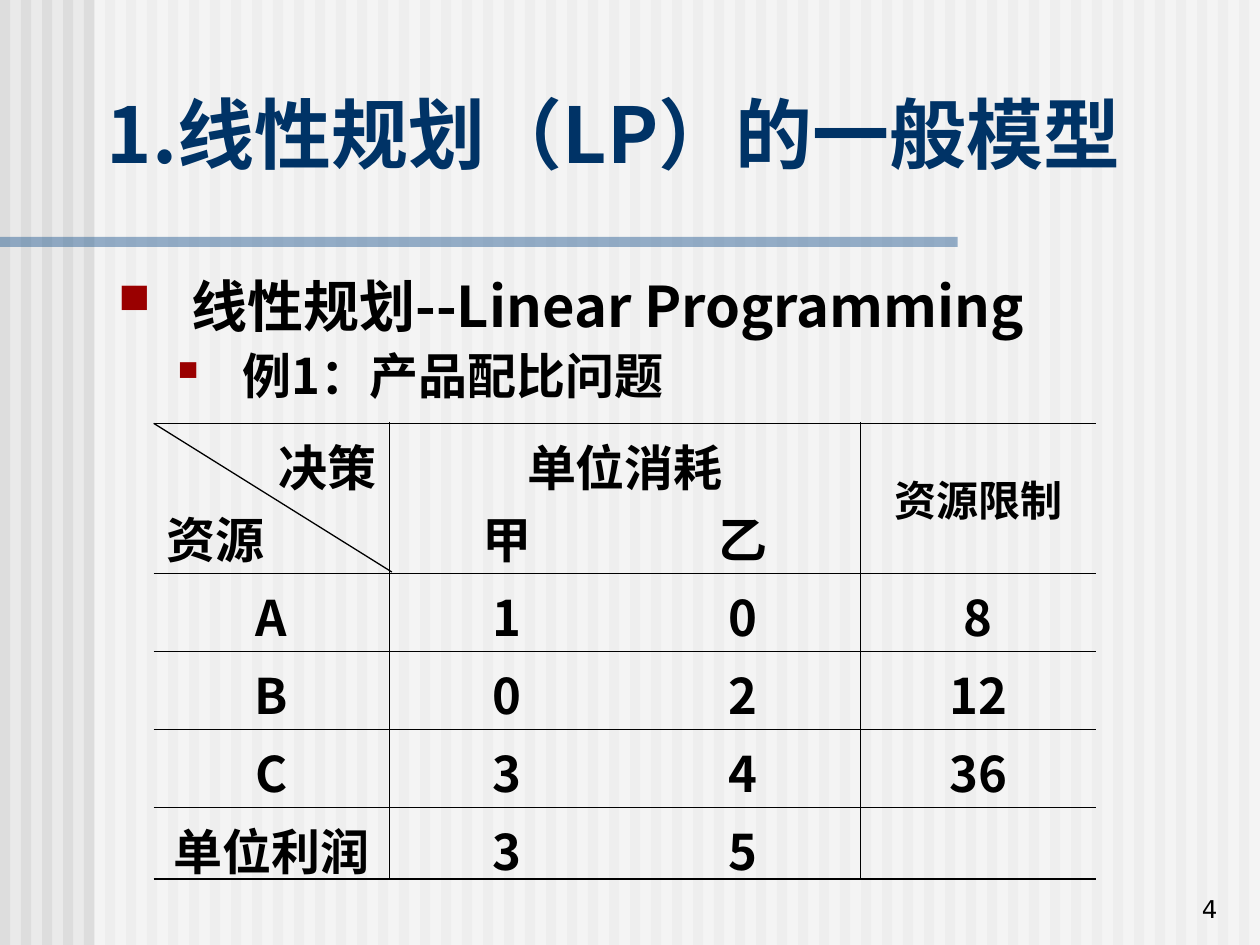
from dataclasses import dataclass

from lxml import etree
from pptx import Presentation
from pptx.dml.color import RGBColor
from pptx.enum.shapes import MSO_CONNECTOR, MSO_SHAPE
from pptx.enum.text import MSO_ANCHOR, PP_ALIGN
from pptx.oxml.ns import qn
from pptx.util import Inches, Pt

RECTANGLE = MSO_SHAPE.RECTANGLE
STRAIGHT = MSO_CONNECTOR.STRAIGHT
MIDDLE, BOTTOM = MSO_ANCHOR.MIDDLE, MSO_ANCHOR.BOTTOM
LEFT, CENTER, RIGHT, JUSTIFY = (
    PP_ALIGN.LEFT, PP_ALIGN.CENTER, PP_ALIGN.RIGHT, PP_ALIGN.JUSTIFY)


@dataclass(frozen=True)
class Theme:
    font: str = "Noto Sans CJK SC"
    number_font: str = "DejaVu Sans"
    background: str = "EAEAEA"
    stripe: str = "DDDDDD"
    veil: str = "FFFFFF"
    rule: str = "336699"
    title: str = "003366"
    ink: str = "000000"
    bullet: str = "9A0000"
    title_size: int = 44
    topic_size: int = 32
    text_size: int = 28
    small_size: int = 24
    number_size: int = 14
    thin: float = 0.45
    thick: float = 1.08


THEME = Theme()
TABLE_ROWS = [
    ["决策", "单位消耗", "", "资源限制"],
    ["资源", "甲", "乙", ""],
    ["A", "1", "0", "8"],
    ["B", "0", "2", "12"],
    ["C", "3", "4", "36"],
    ["单位利润", "3", "5", ""],
]


def add_xml(parent, tag, **attributes):
    return etree.SubElement(parent, qn(tag), attributes)


def style_para(para, size, color=THEME.ink, font=THEME.font, bold=True,
               align=LEFT, before=0):
    para.alignment = align
    para.space_before = Pt(before)
    for span in para.runs:
        span.font.size = Pt(size)
        span.font.bold = bold
        span.font.name = font
        span.font.color.rgb = RGBColor.from_string(color)
        add_xml(span.font._element, "a:ea", typeface=font)


def add_text_frame(page, box):
    frame = page.shapes.add_textbox(*map(Inches, box)).text_frame
    frame.word_wrap = True
    return frame


def add_bar(shapes, box, color, alpha=None):
    bar = shapes.add_shape(RECTANGLE, *map(Inches, box))
    bar.shadow.inherit = False
    bar.fill.solid()
    bar.fill.fore_color.rgb = RGBColor.from_string(color)
    bar.line.fill.background()
    if alpha is not None:
        fill = bar._element.spPr.find(qn("a:solidFill"))
        add_xml(fill[0], "a:alpha", val=str(alpha * 1000))


def add_backdrop(page, box):
    left, top, width, height = box
    page.background.fill.solid()
    page.background.fill.fore_color.rgb = RGBColor.from_string(THEME.background)
    shapes = page.shapes.add_group_shape().shapes
    stripes = 60
    for index in range(stripes):
        add_bar(shapes, (left + index * width / stripes, top, 0.08, height),
                THEME.stripe)
    add_bar(shapes, (left + 0.75, top, width - 0.75, height), THEME.veil, 50)
    add_bar(shapes, (left, top + 1.88, 7.6, 0.08), THEME.rule, 50)


def add_title(page, box):
    frame = add_text_frame(page, box)
    frame.vertical_anchor = MIDDLE
    frame.text = "1.线性规划（LP）的一般模型"
    para = frame.paragraphs[0]
    para.line_spacing = 0.8
    style_para(para, THEME.title_size, THEME.title)


def add_bullet(para, margin, indent, percent):
    properties = para._p.get_or_add_pPr()
    properties.set("marL", str(Inches(margin)))
    properties.set("indent", str(Inches(indent)))
    color = add_xml(properties, "a:buClr")
    add_xml(color, "a:srgbClr", val=THEME.bullet)
    add_xml(properties, "a:buSzPct", val=str(percent * 1000))
    add_xml(properties, "a:buChar", char="▪")


def add_outline(page, box):
    frame = add_text_frame(page, box)
    frame.text = "线性规划--Linear Programming\n例1：产品配比问题"
    topic, example = frame.paragraphs
    example.level = 1
    for para, size, before, margin, indent, percent in (
            (topic, THEME.topic_size, 8, 0.67, -0.67, 135),
            (example, THEME.text_size, 7, 1.08, -0.58, 100)):
        para.line_spacing = 0.9
        style_para(para, size, align=JUSTIFY, before=before)
        add_bullet(para, margin, indent, percent)


def set_borders(cell, widths):
    """Draw left, right, top and bottom borders; None leaves a side open."""
    properties = cell._tc.get_or_add_tcPr()
    for position, (side, width) in enumerate(zip("LRTB", widths)):
        line = etree.Element(qn(f"a:ln{side}"), w=str(Pt(width or 0)))
        if width:
            fill = add_xml(line, "a:solidFill")
            add_xml(fill, "a:srgbClr", val=THEME.ink)
        else:
            add_xml(line, "a:noFill")
        properties.insert(position, line)


def border_widths(row, column):
    last_row, last_column = len(TABLE_ROWS) - 1, len(TABLE_ROWS[0]) - 1
    top = THEME.thick if row == 0 else THEME.thin if row > 1 else None
    bottom = (THEME.thick if row == last_row
              else THEME.thin if row or column == last_column else None)
    left = THEME.thin if column in (1, last_column) else None
    right = THEME.thin if column in (0, 2) else None
    return left, right, top, bottom


def add_resource_table(page, box):
    left, top, width, height = box
    table = page.shapes.add_table(
        len(TABLE_ROWS), len(TABLE_ROWS[0]), *map(Inches, box)).table
    table.first_row = table.horz_banding = False
    for column in table.columns:
        column.width = Inches(width / len(TABLE_ROWS[0]))
    for index, row in enumerate(table.rows):
        row.height = Inches(0.57 if index in (0, len(TABLE_ROWS) - 1) else 0.62)
    aligns = {"决策": RIGHT, "资源": LEFT}
    for row, texts in enumerate(TABLE_ROWS):
        for column, text in enumerate(texts):
            cell = table.cell(row, column)
            cell.fill.background()
            cell.vertical_anchor = MIDDLE
            set_borders(cell, border_widths(row, column))
            cell.text_frame.text = text
            size = THEME.small_size if text == "资源限制" else THEME.text_size
            style_para(cell.text_frame.paragraphs[0], size,
                       align=aligns.get(text, CENTER), before=size / 4)
    table.cell(0, 1).merge(table.cell(0, 2))
    table.cell(0, 3).merge(table.cell(1, 3))

    # Diagonal that splits the header corner
    diagonal = page.shapes.add_connector(
        STRAIGHT, Inches(left), Inches(top), Inches(left + 1.89), Inches(top + 1.18))
    diagonal.line.width = Pt(0.75)
    diagonal.line.color.rgb = RGBColor.from_string(THEME.ink)
    add_xml(diagonal._element.spPr, "a:effectLst")


def add_page_number(page, box):
    frame = add_text_frame(page, box)
    frame.vertical_anchor = BOTTOM
    frame.text = "4"
    style_para(frame.paragraphs[0], THEME.number_size, font=THEME.number_font,
               bold=False, align=RIGHT)


def main():
    deck = Presentation()
    deck.slide_width, deck.slide_height = Inches(10), Inches(7.5)
    page = deck.slides.add_slide(deck.slide_layouts[6])
    add_backdrop(page, (0, 0, 10, 7.5))
    add_title(page, (0.75, 0.5, 8.5, 1.25))
    add_outline(page, (0.75, 2.17, 8.5, 4.5))
    add_resource_table(page, (1.22, 3.36, 7.48, 3.62))
    add_page_number(page, (7.68, 6.88, 2.08, 0.5))
    deck.save("out.pptx")


if __name__ == "__main__":
    main()
